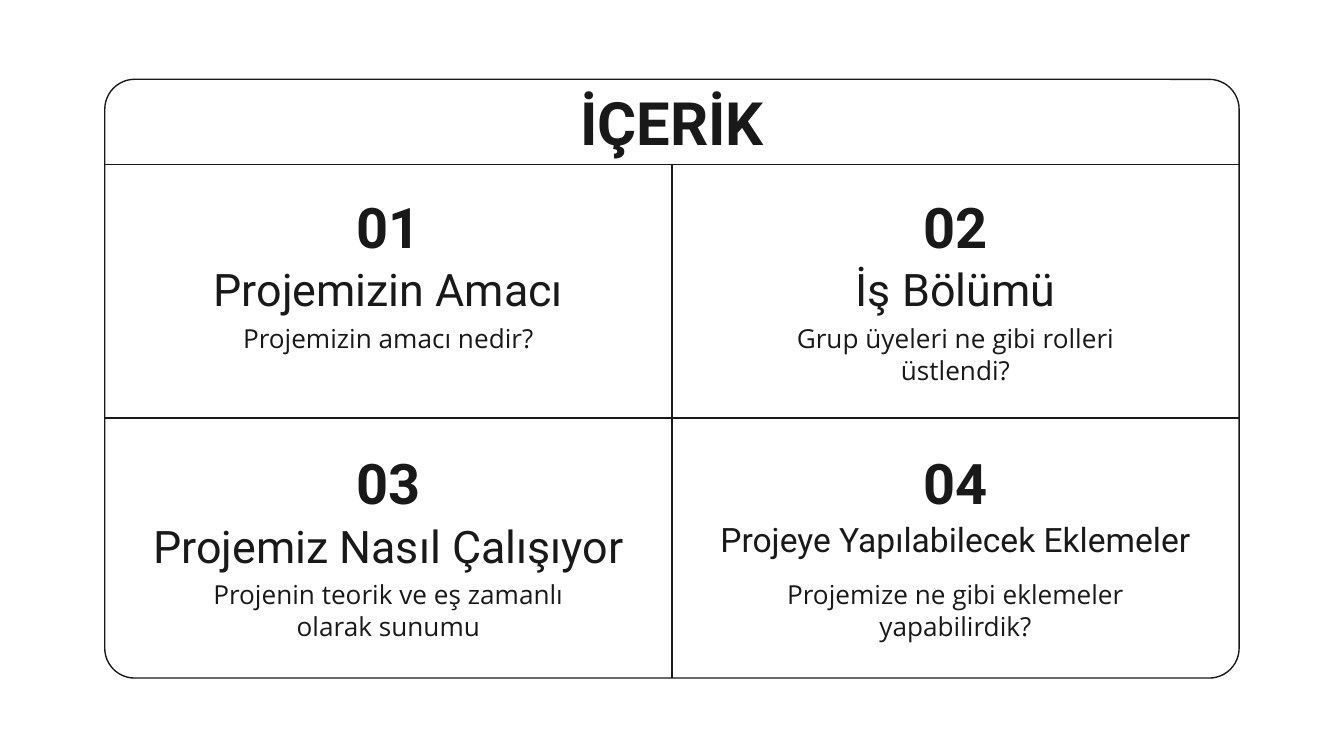
from dataclasses import dataclass

from lxml import etree
from pptx import Presentation
from pptx.dml.color import RGBColor
from pptx.enum.shapes import MSO_CONNECTOR, MSO_SHAPE
from pptx.enum.text import MSO_ANCHOR, MSO_AUTO_SIZE, PP_ALIGN
from pptx.oxml.ns import qn
from pptx.util import Inches, Pt

ROUNDED = MSO_SHAPE.ROUNDED_RECTANGLE
STRAIGHT = MSO_CONNECTOR.STRAIGHT
TOP = MSO_ANCHOR.TOP
NO_FIT = MSO_AUTO_SIZE.NONE
CENTER = PP_ALIGN.CENTER
TITLE_ONLY = 5
BOTTOM_SIDE = 2


@dataclass(frozen=True)
class Theme:
    """Colours, fonts and type sizes."""
    ink: RGBColor = RGBColor(0x19, 0x19, 0x19)
    paper: RGBColor = RGBColor(0xFF, 0xFF, 0xFF)
    display: str = "Roboto"
    body: str = "Open Sans"
    title: int = 32
    number: int = 30
    heading: int = 24
    small_heading: int = 18
    text: int = 14
    rule: float = 0.75


class Deck:
    """Draws styled elements, with lengths in percent of the slide's size."""

    def __init__(self, prs, theme):
        """Add a title-only slide with the paper background."""
        self.prs, self.theme = prs, theme
        self.slide = prs.slides.add_slide(prs.slide_layouts[TITLE_ONLY])
        fill = self.slide.background.fill
        fill.solid()
        fill.fore_color.rgb = theme.paper

    def x(self, share):
        """Turn a share of the width into a length."""
        return round(self.prs.slide_width * share / 100)

    def y(self, share):
        """Turn a share of the height into a length."""
        return round(self.prs.slide_height * share / 100)

    def stroke(self, line):
        """Give a line the theme's colour and width."""
        line.color.rgb = self.theme.ink
        line.width = Pt(self.theme.rule)

    def frame(self, left, top, width, height):
        """Draw an unfilled rounded frame."""
        sp = self.slide.shapes.add_shape(
            ROUNDED, self.x(left), self.y(top), self.x(width), self.y(height))
        sp.adjustments[0] = 0.05
        sp.shadow.inherit = False
        sp.fill.background()
        self.stroke(sp.line)
        return sp

    def rule(self, x1, y1, x2, y2):
        """Draw a straight rule."""
        cxn = self.slide.shapes.add_connector(
            STRAIGHT, self.x(x1), self.y(y1), self.x(x2), self.y(y2))
        self.stroke(cxn.line)
        etree.SubElement(cxn._element.spPr, qn("a:effectLst"))
        return cxn

    def set_text(self, sp, text, size, font, bold=False, inset=0.1):
        """Fill a shape with one centred paragraph."""
        tf = sp.text_frame
        tf.word_wrap = True
        tf.auto_size = NO_FIT
        tf.vertical_anchor = TOP
        tf.margin_left = tf.margin_right = tf.margin_bottom = Inches(0.1)
        tf.margin_top = Inches(inset)
        p = tf.paragraphs[0]
        p.text = text
        p.alignment = CENTER
        p.line_spacing = 1.0
        p.font.size = Pt(size)
        p.font.name = font
        p.font.bold = bold
        p.font.color.rgb = self.theme.ink

    def title(self, text, left, top, width, height):
        """Place and format the title placeholder."""
        sp = self.slide.shapes.title
        sp.left, sp.top = self.x(left), self.y(top)
        sp.width, sp.height = self.x(width), self.y(height)
        self.set_text(sp, text, self.theme.title, self.theme.display, True, 0.05)

    def label(self, text, centre, top, width, height, size, font, bold=False):
        """Add a text box centred on a column."""
        sp = self.slide.shapes.add_textbox(
            self.x(centre - width / 2), self.y(top), self.x(width), self.y(height))
        self.set_text(sp, text, size, font, bold)


def main():
    """Build the contents slide."""
    theme = Theme()
    prs = Presentation()
    prs.slide_width = Inches(10)
    prs.slide_height = Inches(10 * 9 / 16)
    deck = Deck(prs, theme)

    left, top, width, height = 7.8, 10.5, 84.4, 79.2
    right, bottom, middle = left + width, top + height, left + width / 2
    header_y, row_y, pitch = 21.75, 55.3, 33.9

    frame = deck.frame(left, top, width, height)
    deck.title("İÇERİK", left, top, width, 11.4)
    for y in (header_y, row_y):
        deck.rule(left, y, right, y)
    deck.rule(middle, header_y, middle, bottom).end_connect(frame, BOTTOM_SIDE)

    topics = [
        ("Projemizin Amacı", "Projemizin amacı nedir?", 33.3, theme.heading),
        ("İş Bölümü", "Grup üyeleri ne gibi rolleri üstlendi?", 33.3, theme.heading),
        ("Projemiz Nasıl Çalışıyor", "Projenin teorik ve eş zamanlı olarak sunumu",
         42, theme.heading),
        ("Projeye Yapılabilecek Eklemeler", "Projemize ne gibi eklemeler yapabilirdik?",
         42, theme.small_heading),
    ]
    for i, (heading, text, heading_width, size) in enumerate(topics):
        row, col = divmod(i, 2)
        centre = left + width * (2 * col + 1) / 4
        dy = row * pitch
        deck.label(f"{i + 1:02}", centre, 23.65 + dy, 17.4, 9.1,
                   theme.number, theme.display, True)
        deck.label(heading, centre, 32.9 + dy, heading_width, 8, size, theme.display)
        deck.label(text, centre, 40.9 + dy, 33.3, 11.2, theme.text, theme.body)

    prs.save("out.pptx")


if __name__ == "__main__":
    main()
